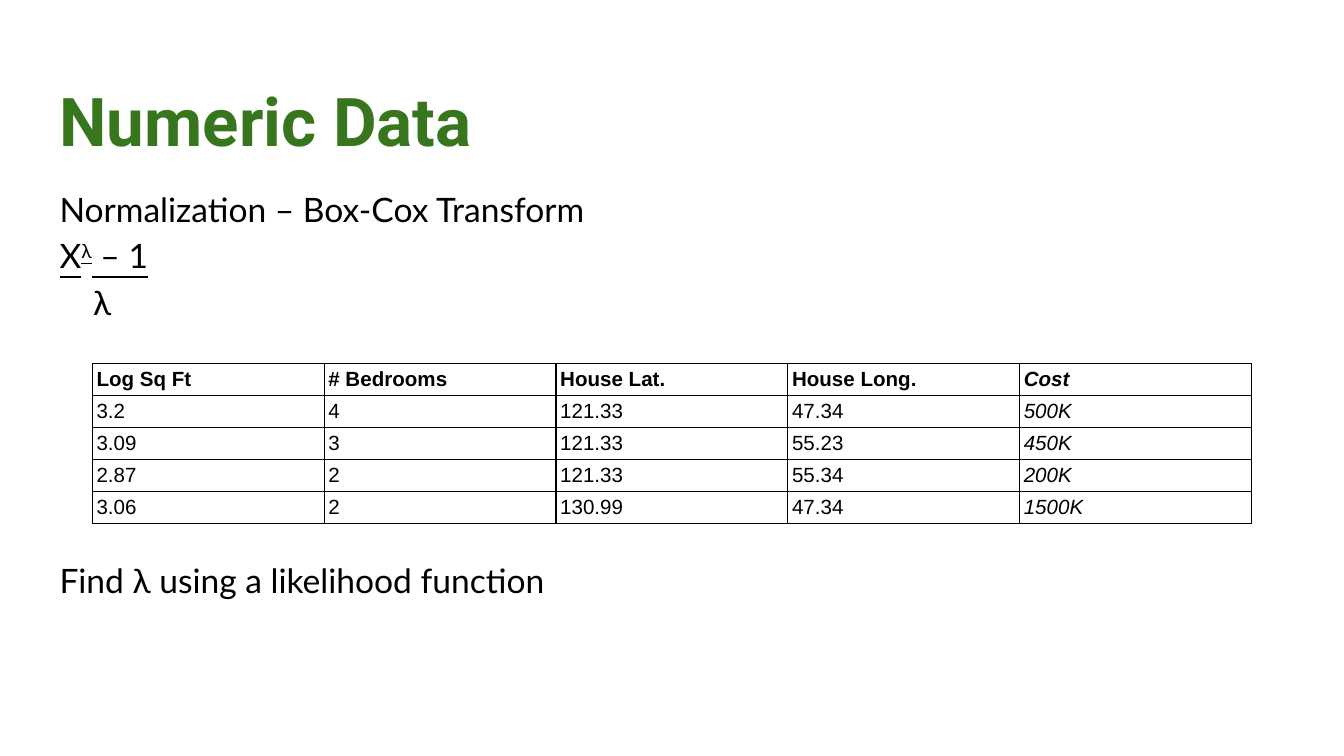
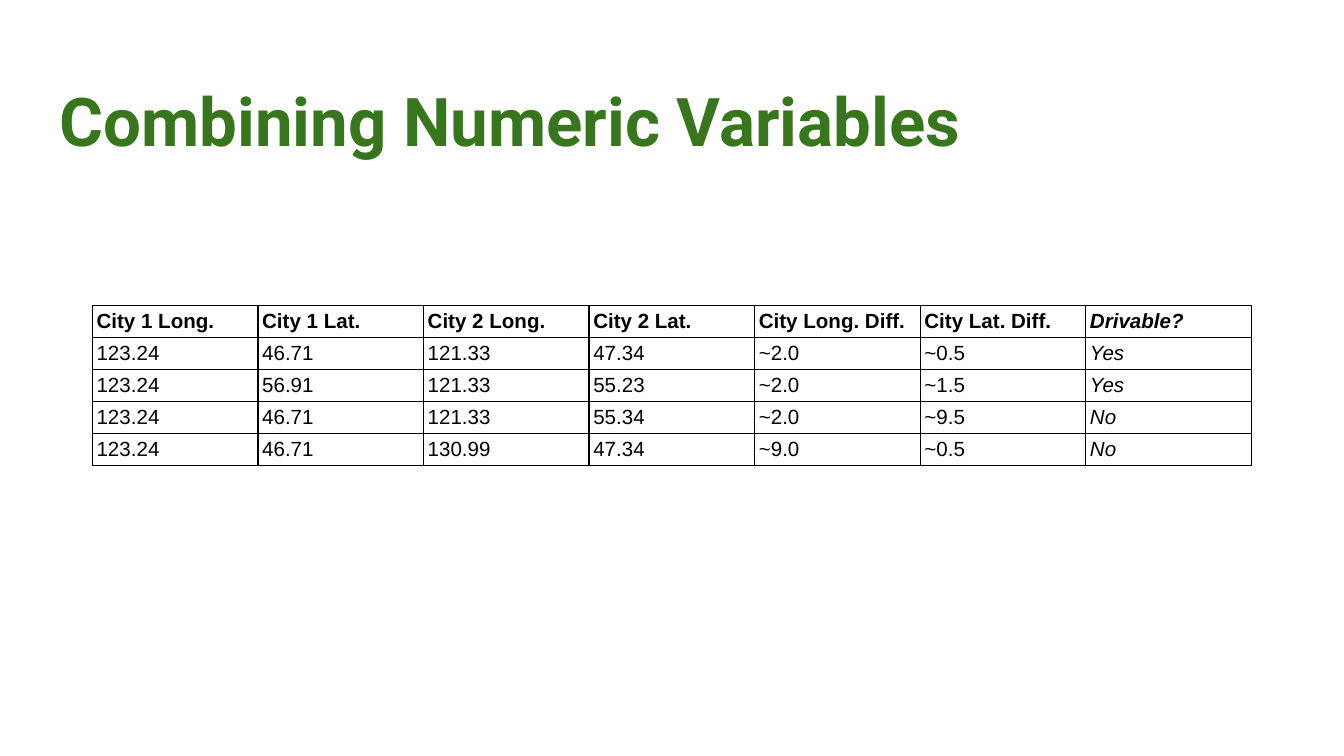
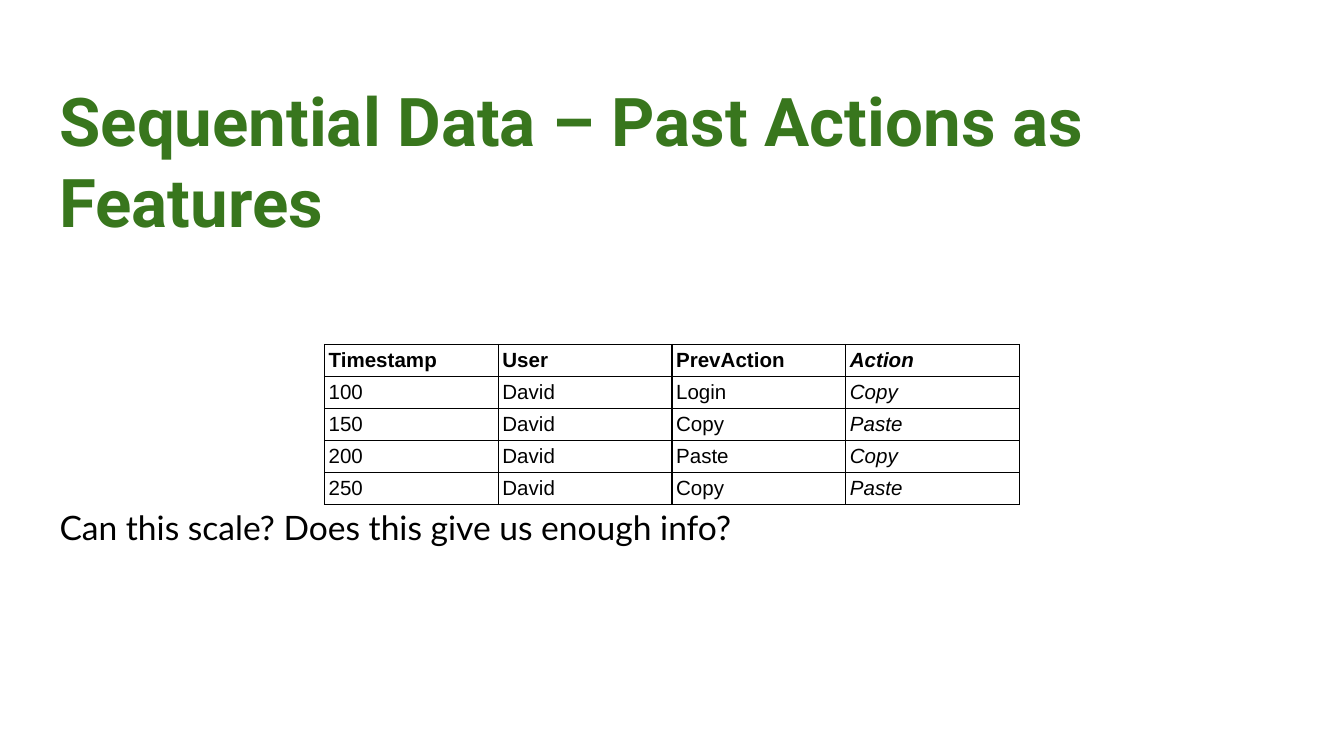
from lxml.etree import SubElement
from pptx import Presentation
from pptx.dml.color import RGBColor
from pptx.enum.text import MSO_ANCHOR as Anchor
from pptx.oxml.ns import qn
from pptx.util import Pt

GREEN, BLACK, WHITE = "38761D", "000000", "FFFFFF"
TITLE_BOX = (24.8, 35.3, 671, 45.4)
BODY_BOX = (24.8, 90.7, 671, 269.3)
QUESTION_BOX = (24.8, 261.1, 671, 98.9)
BODY_FORMAT = dict(size=18, face="Lato")
INSET = 7.2
CELL_SIDE, CELL_EDGE = 2.25, 1.9
ROW_HEIGHT = 17.14
BODY_LINE = 24.84

HOUSES = [
    ["Log Sq Ft", "# Bedrooms", "House Lat.", "House Long.", "Cost"],
    ["3.2", "4", "121.33", "47.34", "500K"],
    ["3.09", "3", "121.33", "55.23", "450K"],
    ["2.87", "2", "121.33", "55.34", "200K"],
    ["3.06", "2", "130.99", "47.34", "1500K"],
]
CITIES = [
    ["City 1 Long.", "City 1 Lat.", "City 2 Long.", "City 2 Lat.",
     "City Long. Diff.", "City Lat. Diff.", "Drivable?"],
    ["123.24", "46.71", "121.33", "47.34", "~2.0", "~0.5", "Yes"],
    ["123.24", "56.91", "121.33", "55.23", "~2.0", "~1.5", "Yes"],
    ["123.24", "46.71", "121.33", "55.34", "~2.0", "~9.5", "No"],
    ["123.24", "46.71", "130.99", "47.34", "~9.0", "~0.5", "No"],
]
ACTIONS = [
    ["Timestamp", "User", "PrevAction", "Action"],
    ["100", "David", "Login", "Copy"],
    ["150", "David", "Copy", "Paste"],
    ["200", "David", "Paste", "Copy"],
    ["250", "David", "Copy", "Paste"],
]


def color(value):
    """Turn a hex string into a colour."""
    return RGBColor.from_string(value)


def write(para, text, size=11, face="Arial", ink=BLACK, bold=False,
          italic=False, underline=False, raised=False):
    """Add formatted text to a paragraph."""
    span = para.add_run()
    span.text = text
    font = span.font
    font.size, font.name = Pt(size), face
    font.bold, font.italic, font.underline = bold, italic, underline
    font.color.rgb = color(ink)
    if raised:
        span._r.get_or_add_rPr().set("baseline", "30000")


def add_frame(page, box):
    """Add a wrapping text box with even insets."""
    frame = page.shapes.add_textbox(*map(Pt, box)).text_frame
    frame.word_wrap = True
    frame.margin_left = frame.margin_right = Pt(INSET)
    frame.margin_top = frame.margin_bottom = Pt(INSET)
    return frame


def add_body(page, box, lines):
    """Add body lines, each given as spans, space before and left indent."""
    frame = add_frame(page, box)
    for index, (spans, before, indent) in enumerate(lines):
        para = frame.paragraphs[0] if index == 0 else frame.add_paragraph()
        para.line_spacing = 1.15
        para.space_before = Pt(before)
        para._p.get_or_add_pPr().set("marL", str(Pt(indent)))
        for text, style in spans:
            write(para, text, **BODY_FORMAT, **style)


def add_borders(cell):
    """Draw a thin black line on every side of a cell."""
    props = cell._tc.get_or_add_tcPr()
    for side in "LRTB":
        line = SubElement(props, qn(f"a:ln{side}"), w=str(Pt(0.75)))
        fill = SubElement(line, qn("a:solidFill"))
        SubElement(fill, qn("a:srgbClr"), val=BLACK)


def add_data_table(page, left, top, width, rows):
    """Add a table with a bold header row and an italic target column."""
    count = len(rows[0])
    table = page.shapes.add_table(
        len(rows), count, Pt(left), Pt(top), Pt(width),
        Pt(ROW_HEIGHT * len(rows))).table
    table.first_row = table.horz_banding = False
    for column in table.columns:
        column.width = Pt(width / count)
    for r, values in enumerate(rows):
        table.rows[r].height = Pt(ROW_HEIGHT)
        for c, value in enumerate(values):
            cell = table.cell(r, c)
            cell.margin_left = cell.margin_right = Pt(CELL_SIDE)
            cell.margin_top = cell.margin_bottom = Pt(CELL_EDGE)
            cell.vertical_anchor = Anchor.MIDDLE
            add_borders(cell)
            cell.fill.solid()
            cell.fill.fore_color.rgb = color(WHITE)
            write(cell.text_frame.paragraphs[0], value,
                  bold=r == 0, italic=c == count - 1)


def add_page(deck, title):
    """Add a blank page with the shared title."""
    page = deck.slides.add_slide(deck.slide_layouts[6])
    para = add_frame(page, TITLE_BOX).paragraphs[0]
    write(para, title, size=36, face="Roboto", ink=GREEN, bold=True)
    return page


def add_numeric_page(deck):
    """Show the Box-Cox formula and the house data."""
    page = add_page(deck, "Numeric Data")
    under = dict(underline=True)
    numerator = [("X", under), ("λ", dict(under, raised=True)), (" – 1", under)]
    add_body(page, BODY_BOX, [
        ([("Normalization – Box-Cox Transform", {})], 0, 0),
        (numerator, 0, 0),
        ([("λ", {})], 0, 18),
        ([("Find λ using a likelihood function", {})], 5 * BODY_LINE, 0),
    ])
    add_data_table(page, 49.5, 194.9, 621, HOUSES)


def add_combining_page(deck):
    """Show the city pairs with their combined variables."""
    page = add_page(deck, "Combining Numeric Variables")
    add_data_table(page, 49.5, 163.8, 621, CITIES)


def add_sequential_page(deck):
    """Show the action log and the question below it."""
    page = add_page(deck, "Sequential Data – Past Actions as Features")
    question = "Can this scale? Does this give us enough info?"
    add_body(page, QUESTION_BOX, [([(question, {})], 0, 0)])
    add_data_table(page, 173.8, 184.6, 372.4, ACTIONS)


def main():
    """Build and save the deck."""
    deck = Presentation()
    deck.slide_width, deck.slide_height = Pt(720), Pt(405)
    add_numeric_page(deck)
    add_combining_page(deck)
    add_sequential_page(deck)
    deck.save("out.pptx")


if __name__ == "__main__":
    main()
